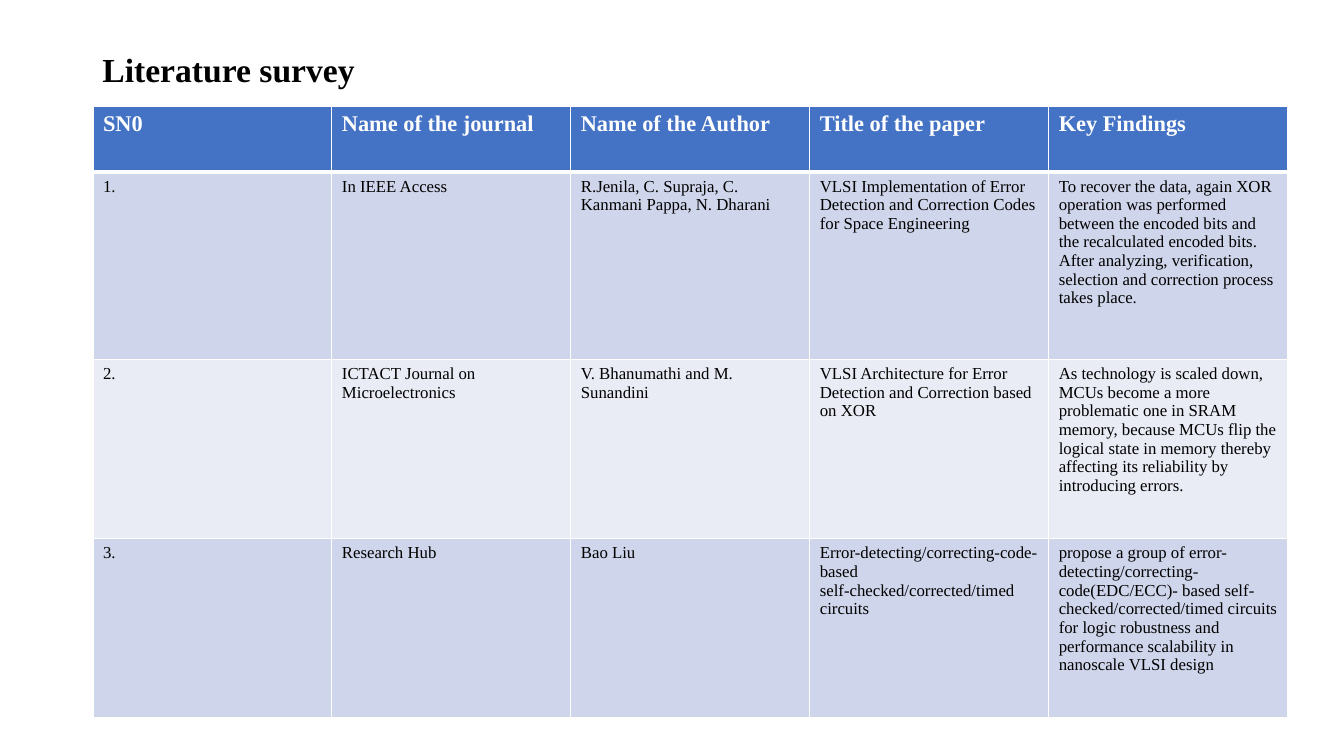
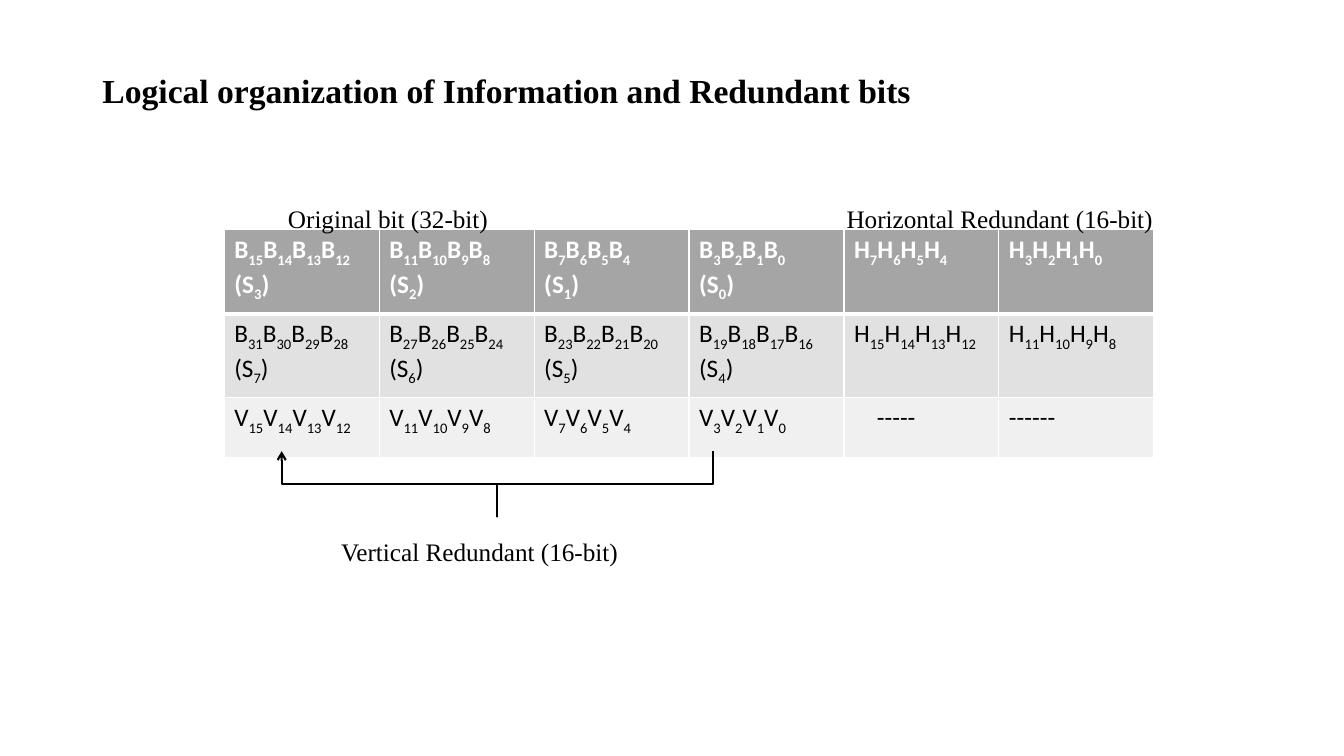
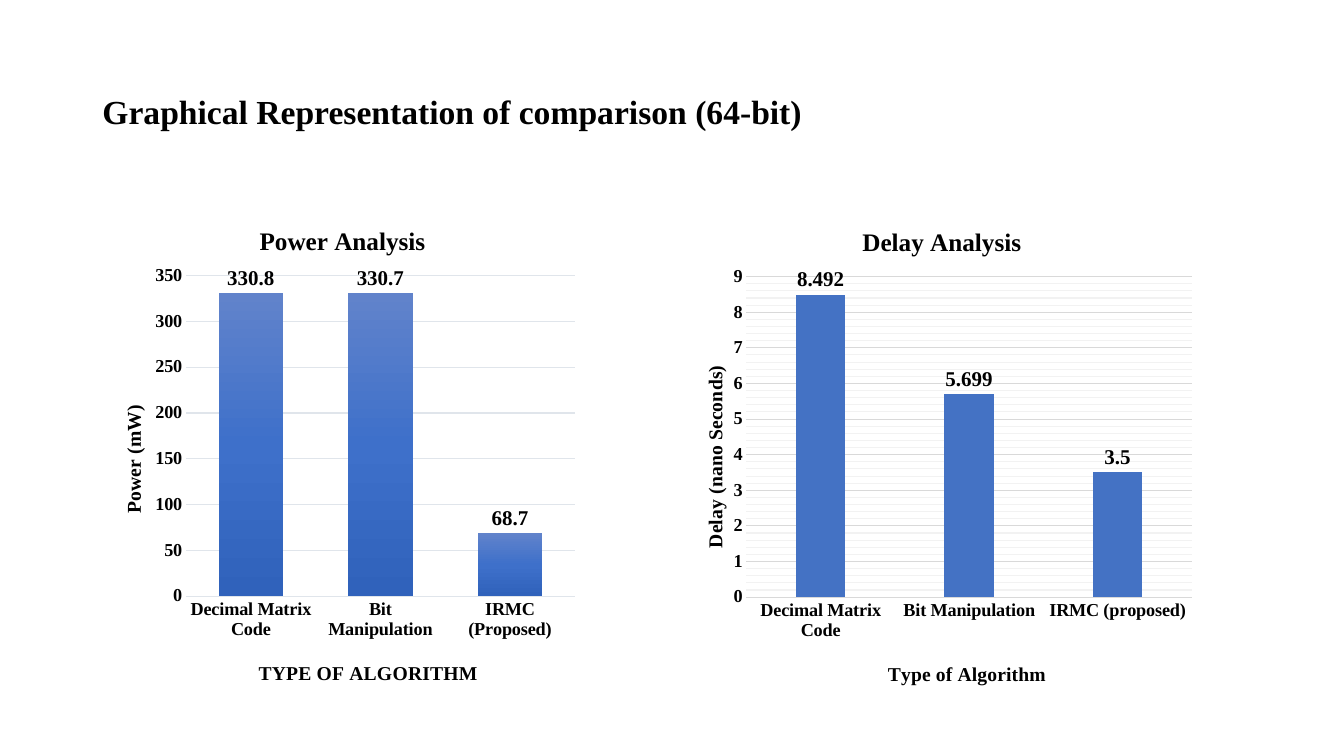
from copy import deepcopy
from dataclasses import dataclass
from typing import Optional

from pptx import Presentation
from pptx.chart.data import CategoryChartData
from pptx.dml.color import RGBColor
from pptx.enum.chart import XL_CHART_TYPE as ChartType
from pptx.enum.chart import XL_LABEL_POSITION as LabelPosition
from pptx.enum.chart import XL_TICK_MARK as TickMark
from pptx.enum.shapes import MSO_SHAPE as Preset
from pptx.enum.text import MSO_ANCHOR as Anchor
from pptx.enum.text import MSO_AUTO_SIZE as AutoSize
from pptx.enum.text import PP_ALIGN as Align
from pptx.oxml.ns import qn
from pptx.oxml.xmlchemy import OxmlElement
from pptx.slide import Slide
from pptx.text.text import TextFrame
from pptx.util import Pt


@dataclass(frozen=True)
class Theme:
    serif: str = "Times New Roman"
    sans: str = "Calibri"
    black: str = "000000"
    white: str = "FFFFFF"
    blue: str = "4472C4"
    faint: str = "F2F2F2"
    title: float = 24
    header: float = 16
    label: float = 18
    cell: float = 12
    axis_title: float = 14
    tick: float = 13
    value: float = 15


THEME = Theme()


@dataclass(frozen=True)
class Box:
    left: float
    top: float
    width: float
    height: float

    def lengths(self) -> tuple:
        return Pt(self.left), Pt(self.top), Pt(self.width), Pt(self.height)


@dataclass(frozen=True)
class TableLook:
    font: str
    header_size: float
    body_size: float
    header_fill: str
    body_fills: tuple[str, str]


@dataclass(frozen=True)
class Heading:
    """A chart or axis title with its place as fractions of the chart."""
    text: str
    x: float
    y: float


@dataclass(frozen=True)
class BarChart:
    box: Box
    plot: tuple[float, float, float, float]
    title: Heading
    category_title: Heading
    value_title: Heading
    categories: tuple[str, ...]
    values: tuple[float, ...]
    maximum: float
    major: float
    grid: str
    gap: int
    overlap: int = 0
    minor: Optional[float] = None
    gradient: tuple[str, ...] = ()


SURVEY_LOOK = TableLook(THEME.serif, THEME.header, THEME.cell, THEME.blue, ("CFD5EA", "E9EBF5"))
BITS_LOOK = TableLook(THEME.sans, THEME.label, THEME.label, "A5A5A5", ("E1E1E1", "F0F0F0"))

SURVEY = [
    ["SN0", "Name of the journal", "Name of the Author", "Title of the paper", "Key Findings"],
    ["1.", "In IEEE Access", "R.Jenila, C. Supraja, C. Kanmani Pappa, N. Dharani",
     "VLSI Implementation of Error Detection and Correction Codes for Space Engineering",
     "To recover the data, again XOR operation was performed between the encoded bits and the "
     "recalculated encoded bits. After analyzing, verification, selection and correction process "
     "takes place."],
    ["2.", "ICTACT Journal on Microelectronics", "V. Bhanumathi and M. Sunandini",
     "VLSI Architecture for Error Detection and Correction based on XOR",
     "As technology is scaled down, MCUs become a more problematic one in SRAM memory, because "
     "MCUs flip the logical state in memory thereby affecting its reliability by introducing "
     "errors."],
    ["3.", "Research Hub", "Bao Liu",
     "Error-detecting/correcting-code-based\nself-checked/corrected/timed circuits",
     "propose a group of error-detecting/correcting-code(EDC/ECC)- based "
     "self-checked/corrected/timed circuits for logic robustness and performance scalability in "
     "nanoscale VLSI design"],
]

CHARTS = [
    BarChart(
        box=Box(66.2, 143.3, 351.4, 357.8), plot=(0.19, 0.15, 0.79, 0.64),
        title=Heading("Power Analysis", 0.33, 0.04),
        category_title=Heading("TYPE OF ALGORITHM", 0.33, 0.91),
        value_title=Heading("Power (mW)", 0.05, 0.4),
        categories=("Decimal Matrix Code", "Bit Manipulation", "IRMC (Proposed)"),
        values=(330.8, 330.7, 68.7), maximum=350, major=50,
        grid="E0E5EB", gap=100, overlap=-24, gradient=("6183CB", "3E70CA", "3062BB")),
    BarChart(
        box=Box(480.2, 144, 378.7, 357.8), plot=(0.14, 0.15, 0.84, 0.64),
        title=Heading("Delay Analysis", 0.35, 0.04),
        category_title=Heading("Type of Algorithm", 0.4, 0.91),
        value_title=Heading("Delay (nano Seconds)", 0.05, 0.32),
        categories=("Decimal Matrix Code", "Bit Manipulation", "IRMC (proposed)"),
        values=(8.492, 5.699, 3.5), maximum=9, major=1,
        grid="D9D9D9", gap=199, minor=0.2),
]


def rgb(color: str) -> RGBColor:
    return RGBColor.from_string(color)


def style_font(font, *, size: float, name: str = THEME.serif, color: str = THEME.black,
               bold: bool = False) -> None:
    font.size, font.name, font.bold = Pt(size), name, bold
    font.color.rgb = rgb(color)


def write(frame: TextFrame, text: str, *, align: Align = Align.LEFT,
          spacing: Optional[float] = None, **style) -> None:
    """Fill a frame: a newline starts a paragraph, ~x~ makes x a subscript."""
    for index, line in enumerate(text.split("\n")):
        para = frame.add_paragraph() if index else frame.paragraphs[0]
        para.alignment = align
        if spacing:
            para.line_spacing = spacing
        for position, piece in enumerate(line.split("~")):
            if not piece:
                continue
            span = para.add_run()
            span.text = piece
            style_font(span.font, **style)
            if position % 2:
                span.font._element.set("baseline", "-25000")


def add_titled_slide(deck, text: str, box: Box) -> Slide:
    page = deck.slides.add_slide(deck.slide_layouts[5])
    title = page.shapes.title
    title.left, title.top, title.width, title.height = box.lengths()
    frame = title.text_frame
    frame.auto_size, frame.vertical_anchor = AutoSize.NONE, Anchor.MIDDLE
    write(frame, text, spacing=0.9, size=THEME.title, bold=True)
    return page


def set_borders(cell, **widths: float) -> None:
    """Draw white borders; the keywords L, R, T and B give widths in points."""
    properties = cell._tc.get_or_add_tcPr()
    for side, width in widths.items():
        line = OxmlElement(f"a:ln{side}")
        line.set("w", str(Pt(width)))
        fill = OxmlElement("a:solidFill")
        color = OxmlElement("a:srgbClr")
        color.set("val", THEME.white)
        fill.append(color)
        line.append(fill)
        properties.append(line)


def add_grid(page: Slide, rows: list[list[str]], box: Box, heights: list[float],
             look: TableLook):
    """Add a table with equal columns, a heading row and banded rows."""
    columns = len(rows[0])
    table = page.shapes.add_table(len(rows), columns, *box.lengths()).table
    for column in table.columns:
        column.width = Pt(box.width / columns)
    for row, (texts, height) in enumerate(zip(rows, heights)):
        table.rows[row].height = Pt(height)
        is_header = row == 0
        for column, text in enumerate(texts):
            cell = table.cell(row, column)
            set_borders(cell, L=1, R=1, T=3 if row == 1 else 1, B=3 if is_header else 1)
            cell.fill.solid()
            cell.fill.fore_color.rgb = rgb(
                look.header_fill if is_header else look.body_fills[(row - 1) % 2])
            write(cell.text_frame, text, name=look.font, bold=is_header,
                  size=look.header_size if is_header else look.body_size,
                  color=THEME.white if is_header else THEME.black)
    return table


def add_label(page: Slide, text: str, box: Box, align: Align = Align.LEFT) -> None:
    frame = page.shapes.add_textbox(*box.lengths()).text_frame
    frame.word_wrap, frame.vertical_anchor = True, Anchor.MIDDLE
    frame.margin_left = frame.margin_right = frame.margin_top = frame.margin_bottom = 0
    write(frame, text, size=THEME.label, align=align)


def bit_group(letter: str, highest: int, section: Optional[int] = None) -> str:
    """Name four falling bits, with the section they form on a second line."""
    bits = "".join(f"{letter}~{bit}~" for bit in range(highest, highest - 4, -1))
    return bits if section is None else f"{bits}\n(S~{section}~)"


def bit_rows() -> list[list[str]]:
    rows = []
    for half in range(2):
        data = [bit_group("B", 16 * half + 15 - 4 * i, 4 * half + 3 - i) for i in range(4)]
        rows.append(data + [bit_group("H", 8 * half + high) for high in (7, 3)])
    vertical = [bit_group("V", high) for high in (15, 11, 7, 3)]
    return rows + [vertical + ["-----", "------"]]


def add_brace(page: Slide, box: Box) -> None:
    """Add a square brace, turned to open upwards, with an arrow at its left end."""
    brace = page.shapes.add_shape(Preset.LEFT_BRACE, *box.lengths())
    brace.rotation = 270
    brace.adjustments[0], brace.adjustments[1] = 0, 0.5
    brace.shadow.inherit = False
    brace.fill.background()
    brace.line.color.rgb = rgb(THEME.black)
    brace.line.width = Pt(1.5)
    arrow = OxmlElement("a:tailEnd")
    arrow.set("type", "arrow")
    brace.line._get_or_add_ln().append(arrow)


def place(element, **fractions: float) -> None:
    """Fix a chart part at fractions of the chart; w and h are for the plot."""
    layout = element.find(qn("c:layout"))
    if layout is None:
        layout = OxmlElement("c:layout")
        element.insert(0 if element.find(qn("c:tx")) is None else 1, layout)
    manual = OxmlElement("c:manualLayout")
    settings = {"xMode": "edge", "yMode": "edge", **fractions}
    if "w" in fractions:
        settings = {"layoutTarget": "inner", **settings}
    for name, value in settings.items():
        item = OxmlElement(f"c:{name}")
        item.set("val", str(value))
        manual.append(item)
    layout.append(manual)


def set_heading(title, heading: Heading, size: float, turned: bool = False) -> None:
    write(title.text_frame, heading.text, align=Align.CENTER, size=size, bold=True)
    if turned:
        body = title.text_frame._element.find(qn("a:bodyPr"))
        body.set("rot", "-5400000")
        body.set("vert", "horz")
    place(title._element, x=heading.x, y=heading.y)


def fill_bars(series, gradient: tuple[str, ...]) -> None:
    fill = series.format.fill
    if not gradient:
        fill.solid()
        fill.fore_color.rgb = rgb(THEME.blue)
        return
    fill.gradient()
    fill.gradient_angle = 270
    stops = next(series._element.iter(qn("a:gsLst")))
    for stop in list(stops):
        stops.remove(stop)
    for index, value in enumerate(gradient):
        stop = OxmlElement("a:gs")
        stop.set("pos", str(100000 * index // (len(gradient) - 1)))
        color = OxmlElement("a:srgbClr")
        color.set("val", value)
        stop.append(color)
        stops.append(stop)


def style_line(part, color: str) -> None:
    part.format.line.color.rgb = rgb(color)
    part.format.line.width = Pt(0.75)


def add_minor_gridlines(axis, unit: float) -> None:
    """Repeat the line style of the major gridlines in a fainter colour."""
    axis.minor_unit = unit
    axis.has_minor_gridlines = True
    major = axis._element.find(qn("c:majorGridlines"))
    minor = axis._element.find(qn("c:minorGridlines"))
    minor.append(deepcopy(major.find(qn("c:spPr"))))
    next(minor.iter(qn("a:srgbClr"))).set("val", THEME.faint)


def add_bar_chart(page: Slide, design: BarChart) -> None:
    data = CategoryChartData()
    data.categories = design.categories
    data.add_series("Series 1", design.values)
    chart = page.shapes.add_chart(
        ChartType.COLUMN_CLUSTERED, *design.box.lengths(), data).chart
    style_font(chart.font, size=10, name=THEME.sans)
    chart.has_legend = False
    chart.has_title = True
    set_heading(chart.chart_title, design.title, THEME.label)
    x, y, width, height = design.plot
    place(chart._chartSpace.chart.plotArea, x=x, y=y, w=width, h=height)

    plot = chart.plots[0]
    plot.vary_by_categories = False
    plot.gap_width, plot.overlap = design.gap, design.overlap
    fill_bars(plot.series[0], design.gradient)
    plot.has_data_labels = True
    labels = plot.data_labels
    labels.show_value, labels.position = True, LabelPosition.OUTSIDE_END
    labels.number_format, labels.number_format_is_linked = "General", False
    style_font(labels.font, size=THEME.value, bold=True)

    category, value = chart.category_axis, chart.value_axis
    for axis in (category, value):
        axis.major_tick_mark = axis.minor_tick_mark = TickMark.NONE
        style_font(axis.tick_labels.font, size=THEME.tick, bold=True)
    set_heading(category.axis_title, design.category_title, THEME.axis_title)
    set_heading(value.axis_title, design.value_title, THEME.axis_title, turned=True)
    style_line(category, design.grid)
    value.format.line.fill.background()
    value.minimum_scale, value.maximum_scale = 0, design.maximum
    value.major_unit = design.major
    value.has_major_gridlines = True
    style_line(value.major_gridlines, design.grid)
    if design.minor:
        add_minor_gridlines(value, design.minor)


def add_survey_slide(deck) -> None:
    page = add_titled_slide(deck, "Literature survey", Box(66, 26.5, 828, 49.5))
    add_grid(page, SURVEY, Box(66.4, 76.3, 853.5, 437), [46.6, 134, 128, 128], SURVEY_LOOK)


def add_bits_slide(deck) -> None:
    page = add_titled_slide(deck, "Logical organization of Information and Redundant bits",
                            Box(66, 28.75, 612, 75.5))
    table = add_grid(page, bit_rows(), Box(160.2, 164.2, 664, 162.7), [60, 60, 42.7], BITS_LOOK)
    table.cell(2, 4).margin_left = Pt(23.5)
    add_label(page, "Original bit (32-bit)", Box(205.7, 144, 200, 24))
    add_label(page, "Horizontal Redundant (16-bit)", Box(573.6, 144, 250, 24), Align.RIGHT)
    add_label(page, "Vertical Redundant (16-bit)", Box(243.6, 382, 250, 24))
    add_brace(page, Box(331.9, 191.5, 46.8, 308.2))


def add_comparison_slide(deck) -> None:
    page = add_titled_slide(deck, "Graphical Representation of comparison (64-bit)",
                            Box(66, 28.75, 828, 104.4))
    for design in CHARTS:
        add_bar_chart(page, design)


def main() -> None:
    deck = Presentation()
    deck.slide_width, deck.slide_height = Pt(960), Pt(540)
    add_survey_slide(deck)
    add_bits_slide(deck)
    add_comparison_slide(deck)
    deck.save("out.pptx")


if __name__ == "__main__":
    main()
